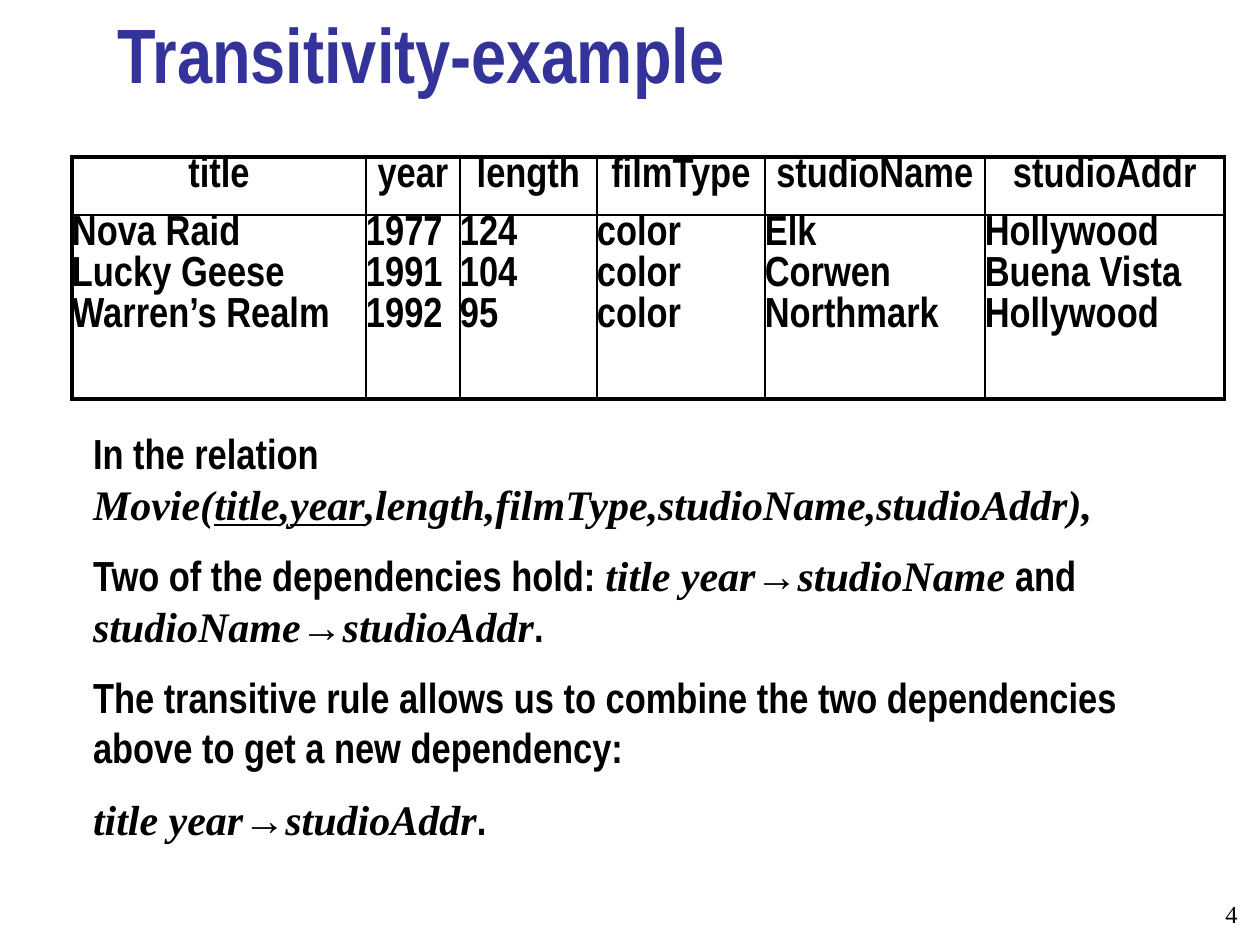
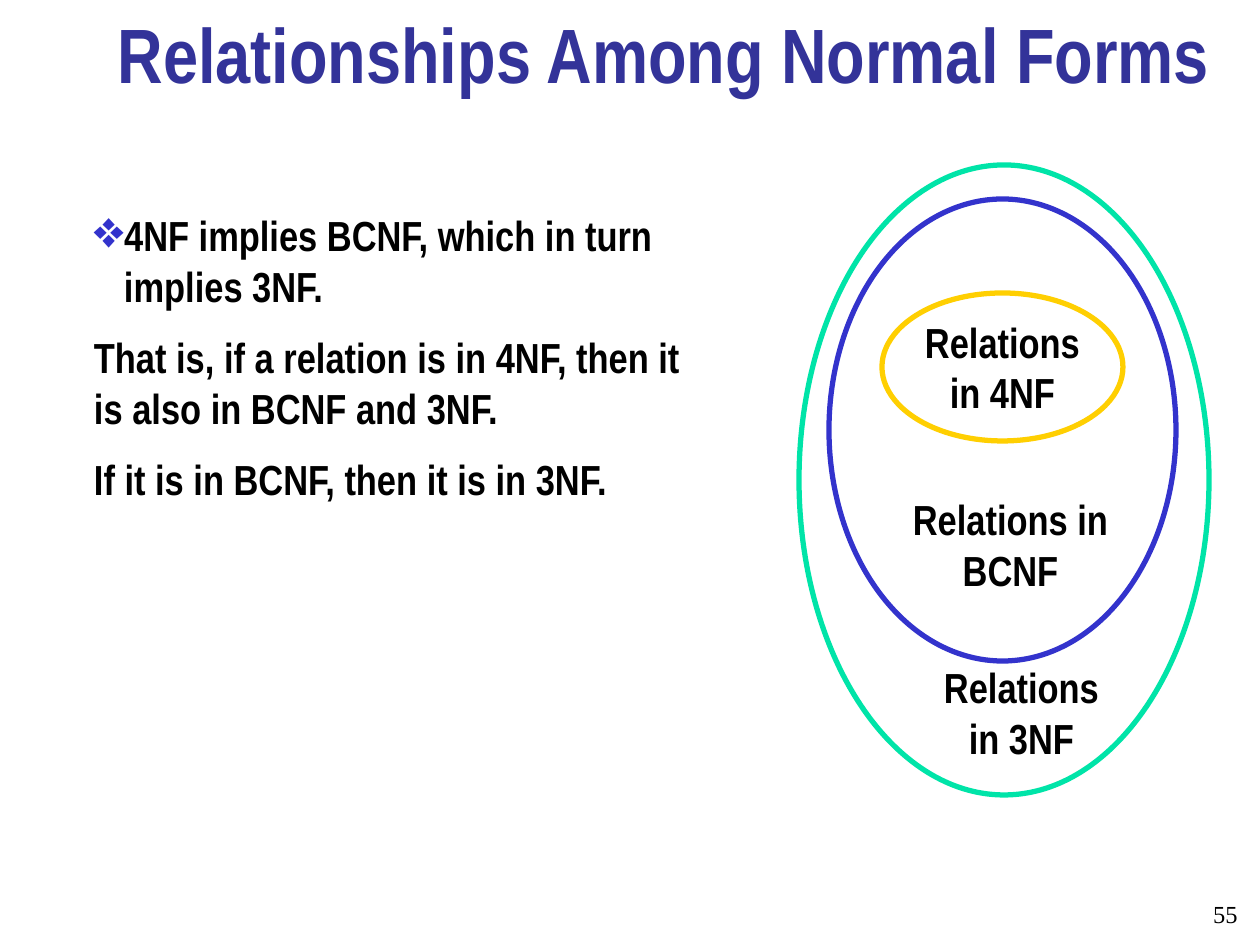
from dataclasses import dataclass

from lxml.etree import Element, SubElement
from pptx import Presentation
from pptx.dml.color import RGBColor
from pptx.enum.shapes import MSO_SHAPE as Shape
from pptx.enum.text import MSO_ANCHOR as Anchor, MSO_AUTO_SIZE as Fit, PP_ALIGN as Align
from pptx.oxml.ns import qn
from pptx.util import Emu, Pt

PX = 914400 // 126


@dataclass(frozen=True)
class Theme:
    sans: str = "Arial Narrow"
    serif: str = "Times New Roman"
    ink: str = "000000"
    title: str = "333399"
    blue: str = "3333CC"
    green: str = "00E4A8"
    yellow: str = "FFCF01"
    title_size: float = 44
    body_size: float = 24
    number_size: float = 14
    outline: float = 3
    frame: float = 2.25
    rule: float = 1


T = Theme()
MATH = dict(font=T.serif, italic=True)
KEY = dict(MATH, underline=True)


def px(n):
    return Emu(n * PX)


def add_run(p, text, font=T.sans, size=T.body_size, color=T.ink,
            bold=True, italic=False, underline=False):
    r = p.add_run()
    r.text = text
    f = r.font
    f.name, f.size, f.bold = font, Pt(size), bold
    f.italic, f.underline = italic, underline
    f.color.rgb = RGBColor.from_string(color)


def add_bullet(p, char, color, hang, percent):
    pPr = p._p.get_or_add_pPr()
    pPr.set("marL", str(px(hang)))
    pPr.set("indent", str(px(-hang)))
    clr = SubElement(pPr, qn("a:buClr"))
    SubElement(clr, qn("a:srgbClr"), val=color)
    SubElement(pPr, qn("a:buSzPct"), val=str(percent * 1000))
    SubElement(pPr, qn("a:buChar"), char=char)


def set_border(cell, widths):
    tcPr = cell._tc.get_or_add_tcPr()
    for i, (side, width) in enumerate(zip("LRTB", widths)):
        ln = Element(qn("a:ln" + side), w=str(Pt(width)))
        fill = SubElement(ln, qn("a:solidFill"))
        SubElement(fill, qn("a:srgbClr"), val=T.ink)
        tcPr.insert(i, ln)


class Deck:
    def __init__(self):
        self.prs = Presentation()
        self.prs.slide_width, self.prs.slide_height = px(1260), px(945)
        self.s = None

    def slide(self, title, number, title_width):
        self.s = self.prs.slides.add_slide(self.prs.slide_layouts[5])
        sp = self.s.shapes.title
        sp.left, sp.top, sp.width, sp.height = map(px, (105, 10, title_width, 95))
        tf = sp.text_frame
        tf.auto_size, tf.vertical_anchor = Fit.NONE, Anchor.BOTTOM
        tf.paragraphs[0].alignment = Align.LEFT
        add_run(tf.paragraphs[0], title, size=T.title_size, color=T.title)

        tf = self.s.shapes.add_textbox(*map(px, (1166, 872, 84, 63))).text_frame
        tf.word_wrap, tf.vertical_anchor = True, Anchor.BOTTOM
        tf.paragraphs[0].alignment = Align.RIGHT
        add_run(tf.paragraphs[0], str(number), font=T.serif,
                size=T.number_size, bold=False)

    def fill_text(self, tf, paragraphs, align=Align.LEFT, before=12, spacing=1.0):
        for i, runs in enumerate(paragraphs):
            p = tf.add_paragraph() if i else tf.paragraphs[0]
            p.alignment, p.line_spacing, p.space_before = align, spacing, Pt(before)
            for text, fmt in runs:
                add_run(p, text, **fmt)

    def no_margins(self, box):
        box.margin_left = box.margin_right = box.margin_top = box.margin_bottom = 0

    def text(self, box, paragraphs, align=Align.LEFT):
        tf = self.s.shapes.add_textbox(*map(px, box)).text_frame
        tf.word_wrap, tf.auto_size = True, Fit.SHAPE_TO_FIT_TEXT
        self.no_margins(tf)
        self.fill_text(tf, paragraphs, align)
        return tf

    def label(self, box, text):
        self.text(box, [[(text, {})]], Align.CENTER)

    def ellipse(self, box, color, text=None):
        sp = self.s.shapes.add_shape(Shape.OVAL, *map(px, box))
        sp.shadow.inherit = False
        sp.fill.background()
        sp.line.color.rgb = RGBColor.from_string(color)
        sp.line.width = Pt(T.outline)
        if text:
            tf = sp.text_frame
            tf.word_wrap, tf.vertical_anchor = True, Anchor.MIDDLE
            self.no_margins(tf)
            self.fill_text(tf, [[(text, {})]], Align.CENTER)

    def table(self, left, top, widths, heights, rows):
        box = map(px, (left, top, sum(widths), sum(heights)))
        tbl = self.s.shapes.add_table(len(heights), len(widths), *box).table
        tbl.first_row = tbl.horz_banding = False
        for col, width in zip(tbl.columns, widths):
            col.width = px(width)
        for row, height in zip(tbl.rows, heights):
            row.height = px(height)
        for i, row in enumerate(rows):
            for j, lines in enumerate(row):
                cell = tbl.cell(i, j)
                cell.fill.background()
                self.no_margins(cell)
                self.fill_text(cell.text_frame, [[(t, {})] for t in lines],
                               Align.LEFT if i else Align.CENTER, 2, 0.95)
                edges = (j == 0, j == len(widths) - 1, i == 0, i == len(heights) - 1)
                set_border(cell, [T.frame if e else T.rule for e in edges])


deck = Deck()

deck.slide("Transitivity-example", 4, 1074)
header = ["title", "year", "length", "filmType", "studioName", "studioAddr"]
movies = [
    ("Nova Raid", "1977", "124", "color", "Elk", "Hollywood"),
    ("Lucky Geese", "1991", "104", "color", "Corwen", "Buena Vista"),
    ("Warren’s Realm", "1992", "95", "color", "Northmark", "Hollywood"),
]
deck.table(72, 157, [294, 94, 137, 168, 220, 240], [58, 184],
           [[[name] for name in header], list(zip(*movies))])
deck.text((93, 428, 1131, 427), [
    [("In the relation ", {}), ("Movie(", MATH), ("title", KEY), (",", MATH),
     ("year", KEY), (",length,filmType,studioName,studioAddr),", MATH)],
    [("Two of the dependencies hold: ", {}), ("title year→studioName", MATH),
     (" and ", {}), ("studioName→studioAddr", MATH), (".", {})],
    [("The transitive rule allows us to combine the two dependencies "
      "above to get a new dependency:", {})],
    [("title year→studioAddr", MATH), (".", {})],
])

deck.slide("Relationships Among Normal Forms", 55, 1120)
deck.ellipse((799, 165, 410, 630), T.green)
deck.ellipse((829, 199, 347, 462), T.blue)
tf = deck.text((94, 210, 605, 302), [
    [("4NF implies BCNF, which in turn implies 3NF.", {})],
    [("That is, if a relation is in 4NF, then it is also in BCNF and 3NF.", {})],
    [("If it is in BCNF, then it is in 3NF.", {})],
])
add_bullet(tf.paragraphs[0], "❖", T.blue, 30, 125)
deck.ellipse((882, 293, 241, 148), T.yellow, "Relations in 4NF")
deck.label((895, 494, 231, 101), "Relations in BCNF")
deck.label((927, 662, 189, 101), "Relations in 3NF")

deck.prs.save("out.pptx")
